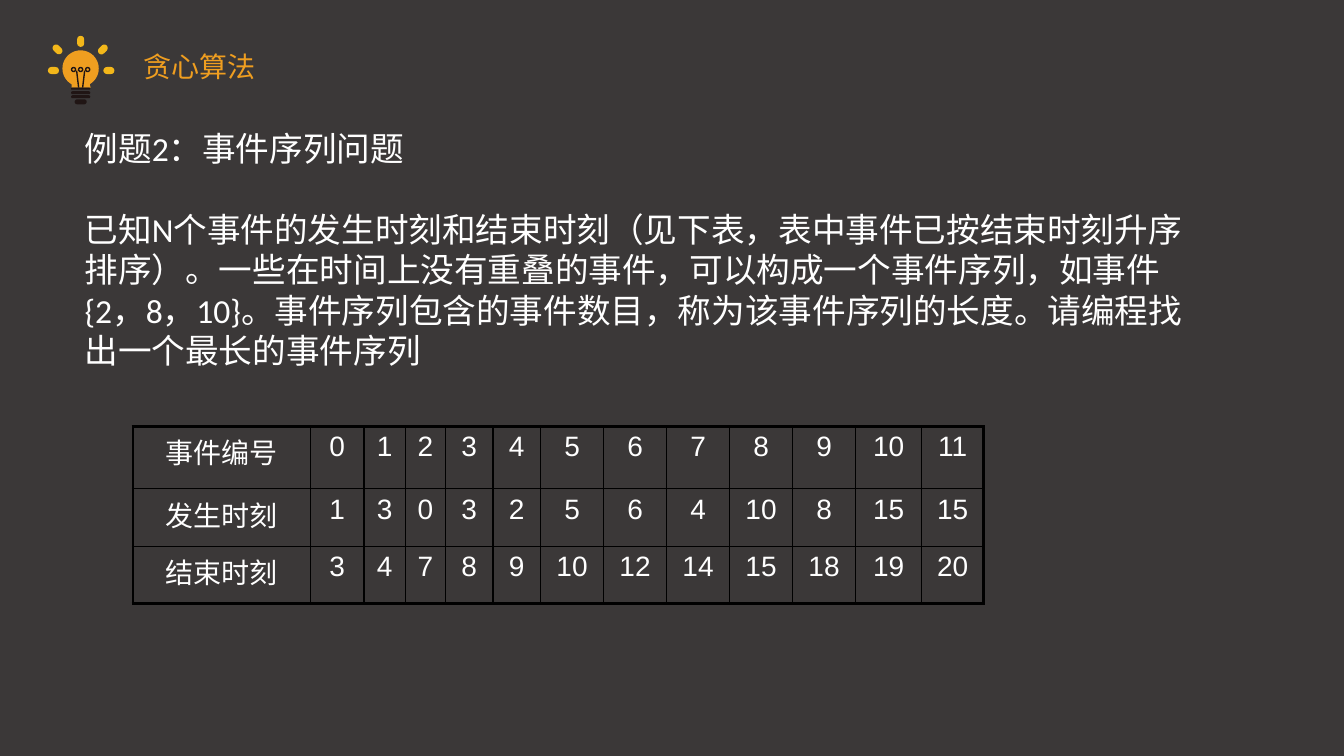
from dataclasses import dataclass
from math import cos, radians, sin

from lxml.etree import SubElement
from pptx import Presentation
from pptx.dml.color import RGBColor
from pptx.enum.shapes import MSO_CONNECTOR, MSO_SHAPE
from pptx.enum.text import MSO_AUTO_SIZE, PP_ALIGN
from pptx.oxml.ns import qn
from pptx.util import Inches, Pt


@dataclass(frozen=True)
class Theme:
    background: str = "3B3838"
    accent: str = "EF9E20"
    ray: str = "F3B71A"
    dark: str = "201514"
    text: str = "FFFFFF"
    border: str = "000000"
    chinese_font: str = "Noto Sans CJK SC"
    body_font: str = "Calibri"
    table_font: str = "Arial"
    label_size: int = 20
    body_size: int = 24
    thin: float = 1
    thick: float = 2.25


class SlideBuilder:
    def __init__(self, deck, theme):
        self.theme = theme
        self.page = deck.slides.add_slide(deck.slide_layouts[6])
        self.page.background.fill.solid()
        self.page.background.fill.fore_color.rgb = RGBColor.from_string(theme.background)

    def span(self, para, text, font, size, color):
        span = para.add_run()
        span.text = text
        span.font.name = font
        span.font.size = Pt(size)
        span.font.color.rgb = RGBColor.from_string(color)
        SubElement(span.font._element, qn("a:ea"), typeface=self.theme.chinese_font)

    def text(self, left, top, width, height, lines, font, size, color, wrap=True, gap=0):
        box = self.page.shapes.add_textbox(
            Inches(left), Inches(top), Inches(width), Inches(height))
        frame = box.text_frame
        frame.word_wrap = wrap
        frame.auto_size = MSO_AUTO_SIZE.SHAPE_TO_FIT_TEXT
        for index, line in enumerate(lines):
            para = frame.add_paragraph() if index else frame.paragraphs[0]
            if index:
                para.space_before = Pt(gap)
            self.span(para, line, font, size, color)

    def paint(self, shape, color):
        shape.shadow.inherit = False
        shape.fill.solid()
        shape.fill.fore_color.rgb = RGBColor.from_string(color)
        shape.line.fill.background()

    def capsule(self, center_x, center_y, width, height, color, turn=0):
        shape = self.page.shapes.add_shape(
            MSO_SHAPE.ROUNDED_RECTANGLE, Inches(center_x - width / 2),
            Inches(center_y - height / 2), Inches(width), Inches(height))
        shape.adjustments[0] = 0.5
        shape.rotation = turn
        self.paint(shape, color)

    def outline(self, points, color):
        first, *others = [(Inches(x), Inches(y)) for x, y in points]
        builder = self.page.shapes.build_freeform(*first)
        builder.add_line_segments(others, close=True)
        self.paint(builder.convert_to_shape(), color)

    def ring(self, center_x, center_y, radius, color, weight):
        shape = self.page.shapes.add_shape(
            MSO_SHAPE.OVAL, Inches(center_x - radius), Inches(center_y - radius),
            Inches(2 * radius), Inches(2 * radius))
        shape.shadow.inherit = False
        shape.fill.background()
        shape.line.color.rgb = RGBColor.from_string(color)
        shape.line.width = Pt(weight)

    def line(self, x1, y1, x2, y2, color, weight):
        connector = self.page.shapes.add_connector(
            MSO_CONNECTOR.STRAIGHT, Inches(x1), Inches(y1), Inches(x2), Inches(y2))
        connector.line.color.rgb = RGBColor.from_string(color)
        connector.line.width = Pt(weight)
        SubElement(connector._element.spPr, qn("a:effectLst"))

    def border(self, cell, side, weight):
        edge = SubElement(cell._tc.get_or_add_tcPr(), qn(f"a:ln{side}"),
                          w=str(Pt(weight)), cmpd="sng")
        fill = SubElement(edge, qn("a:solidFill"))
        SubElement(fill, qn("a:srgbClr"), val=self.theme.border)

    def table(self, left, top, widths, heights, rows):
        theme = self.theme
        table = self.page.shapes.add_table(
            len(heights), len(widths), Inches(left), Inches(top),
            Inches(sum(widths)), Inches(sum(heights))).table
        table.first_row = table.horz_banding = False
        for column, width in zip(table.columns, widths):
            column.width = Inches(width)
        for row, height in zip(table.rows, heights):
            row.height = Inches(height)
        for r, values in enumerate(rows):
            for c, value in enumerate(values):
                cell = table.cell(r, c)
                para = cell.text_frame.paragraphs[0]
                para.alignment = PP_ALIGN.CENTER
                self.span(para, str(value), theme.table_font, theme.label_size, theme.text)
                # Thick frame outside, thin grid inside
                outer = {"L": c == 0, "R": c == len(widths) - 1,
                         "T": r == 0, "B": r == len(heights) - 1}
                for side, is_outer in outer.items():
                    self.border(cell, side, theme.thick if is_outer else theme.thin)
                cell.fill.background()

    def light_bulb(self):
        theme = self.theme
        middle = 0.8
        # Glass: an arc closed by a straight neck
        arc = [(middle + 0.18 * cos(radians(a)), 0.68 + 0.18 * sin(radians(a)))
               for a in range(120, 421, 5)]
        self.outline([(0.71, 0.87), *arc, (0.9, 0.87)], theme.accent)
        # Filament
        for offset in (-0.07, 0, 0.07):
            self.ring(middle + offset, 0.69, 0.02, theme.dark, 1)
        for side in (-1, 1):
            self.line(middle + side * 0.04, 0.7, middle + side * 0.02, 0.87, theme.dark, 1)
        # Screw base
        for center_y, width, height in ((0.88, 0.19, 0.02), (0.92, 0.19, 0.03),
                                        (0.96, 0.19, 0.03), (1.01, 0.12, 0.05)):
            self.capsule(middle, center_y, width, height, theme.dark)
        # Rays
        for center_x, center_y, turn in ((0.53, 0.7, 0), (0.57, 0.49, 45), (0.8, 0.41, 90),
                                         (1.02, 0.49, 135), (1.08, 0.7, 0)):
            self.capsule(center_x, center_y, 0.11, 0.07, theme.ray, turn)


def main():
    deck = Presentation()
    deck.slide_width, deck.slide_height = Inches(13.33), Inches(7.5)
    theme = Theme()
    slide = SlideBuilder(deck, theme)

    # Heading
    slide.text(1.32, 0.44, 1.32, 0.44, ["贪心算法"],
               theme.chinese_font, theme.label_size, theme.accent, wrap=False)
    slide.light_bulb()

    # Event table
    slide.table(
        1.32, 4.23,
        [1.76, 0.53, 0.41, 0.4, 0.47, 0.47, 0.63, 0.62, 0.63, 0.62, 0.63, 0.65, 0.62],
        [0.62, 0.57, 0.57],
        [["事件编号", *range(12)],
         ["发生时刻", 1, 3, 0, 3, 2, 5, 6, 4, 10, 8, 15, 15],
         ["结束时刻", 3, 4, 7, 8, 9, 10, 12, 14, 15, 18, 19, 20]])

    # Problem statement
    slide.text(0.74, 1.22, 11.29, 2.52, [
        "例题2：事件序列问题",
        "已知N个事件的发生时刻和结束时刻（见下表，表中事件已按结束时刻升序排序）。"
        "一些在时间上没有重叠的事件，可以构成一个事件序列，如事件{2，8，10}。"
        "事件序列包含的事件数目，称为该事件序列的长度。请编程找出一个最长的事件序列",
    ], theme.body_font, theme.body_size, theme.text, gap=29)

    deck.save("out.pptx")


if __name__ == "__main__":
    main()
